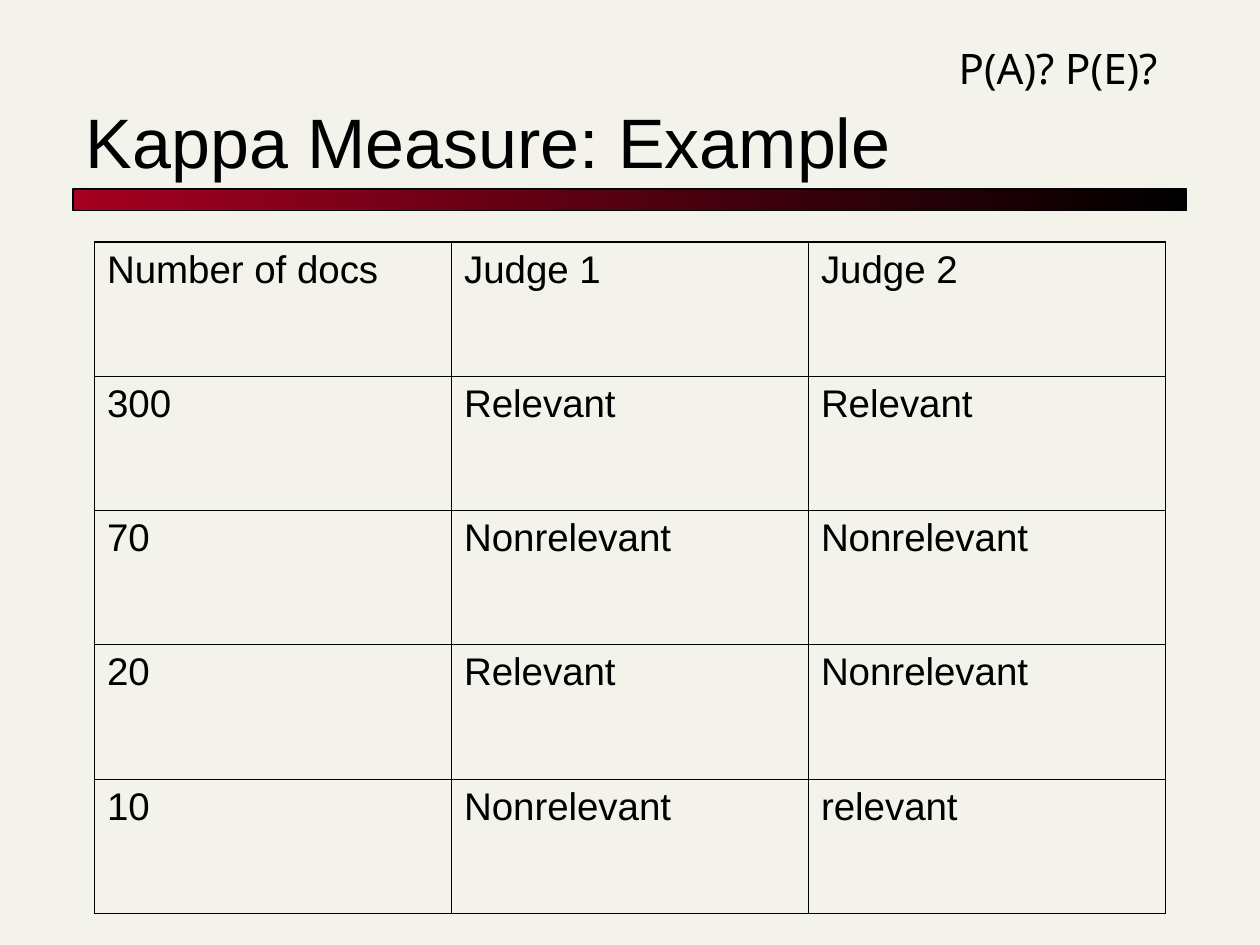
from lxml import etree
from pptx import Presentation
from pptx.dml.color import RGBColor
from pptx.enum.shapes import MSO_SHAPE
from pptx.enum.text import MSO_ANCHOR, MSO_AUTO_SIZE, PP_ALIGN
from pptx.oxml.ns import qn
from pptx.util import Inches, Pt

COLORS = {"background": "F4F3EB", "ink": "000000", "accent": "A50021"}
OUTER_LINE, INNER_LINE = Pt(1.08), Pt(0.45)
JUDGEMENTS = [
    ("Number of docs", "Judge 1", "Judge 2"),
    ("300", "Relevant", "Relevant"),
    ("70", "Nonrelevant", "Nonrelevant"),
    ("20", "Relevant", "Nonrelevant"),
    ("10", "Nonrelevant", "relevant"),
]


def color(name):
    return RGBColor.from_string(COLORS[name])


def write(text_frame, text, size, font_name="Arial"):
    text_frame.text = text
    paragraph = text_frame.paragraphs[0]
    paragraph.alignment = PP_ALIGN.LEFT
    paragraph.font.size = Pt(size)
    paragraph.font.name = font_name
    paragraph.font.color.rgb = color("ink")


def place_title(slide, left, top, width, height):
    title = slide.shapes.title
    title.left, title.top, title.width, title.height = left, top, width, height
    frame = title.text_frame
    frame.auto_size = MSO_AUTO_SIZE.NONE
    frame.vertical_anchor = MSO_ANCHOR.BOTTOM
    write(frame, "Kappa Measure: Example", 40)


def add_title_bar(slide, left, top, width, height):
    bar = slide.shapes.add_shape(MSO_SHAPE.RECTANGLE, left, top, width, height)
    bar.shadow.inherit = False
    bar.fill.gradient()
    bar.fill.gradient_angle = 180
    for stop, name in zip(bar.fill.gradient_stops, ("ink", "accent")):
        stop.color.rgb = color(name)
    bar.line.color.rgb = color("ink")
    bar.line.width = Pt(0.75)


def add_question(slide, left, top, width, height):
    question = slide.shapes.add_textbox(left, top, width, height)
    frame = question.text_frame
    frame.word_wrap = False
    frame.auto_size = MSO_AUTO_SIZE.SHAPE_TO_FIT_TEXT
    write(frame, "P(A)? P(E)?", 24, "Noto Sans")


def set_border(cell, side, width):
    properties = cell._tc.get_or_add_tcPr()
    line = etree.SubElement(properties, qn(f"a:ln{side}"), w=str(width))
    fill = etree.SubElement(line, qn("a:solidFill"))
    etree.SubElement(fill, qn("a:srgbClr"), val=COLORS["ink"])


def add_judgement_table(slide, left, top, width, height):
    """Add the table with thin inner rules and a thicker outer frame."""
    row_count, column_count = len(JUDGEMENTS), len(JUDGEMENTS[0])
    table = slide.shapes.add_table(
        row_count, column_count, left, top, width, height
    ).table
    table.first_row = table.horz_banding = False
    for r, judgement in enumerate(JUDGEMENTS):
        for c, text in enumerate(judgement):
            cell = table.cell(r, c)
            write(cell.text_frame, text, 22)
            on_frame = {
                "L": c == 0,
                "R": c == column_count - 1,
                "T": r == 0,
                "B": r == row_count - 1,
            }
            for side, outer in on_frame.items():
                set_border(cell, side, OUTER_LINE if outer else INNER_LINE)
            cell.fill.background()


def main():
    prs = Presentation()
    prs.slide_width, prs.slide_height = Inches(10), Inches(7.5)
    slide = prs.slides.add_slide(prs.slide_layouts[5])
    slide.background.fill.solid()
    slide.background.fill.fore_color.rgb = color("background")

    add_title_bar(slide, Inches(0.58), Inches(1.5), Inches(8.84), Inches(0.17))
    place_title(slide, Inches(0.58), Inches(0.42), Inches(8.83), Inches(1.08))
    add_judgement_table(
        slide, Inches(0.75), Inches(1.92), Inches(8.5), Inches(5.33)
    )
    add_question(slide, Inches(7.51), Inches(0.29), Inches(1.78), Inches(0.5))
    prs.save("out.pptx")


if __name__ == "__main__":
    main()
